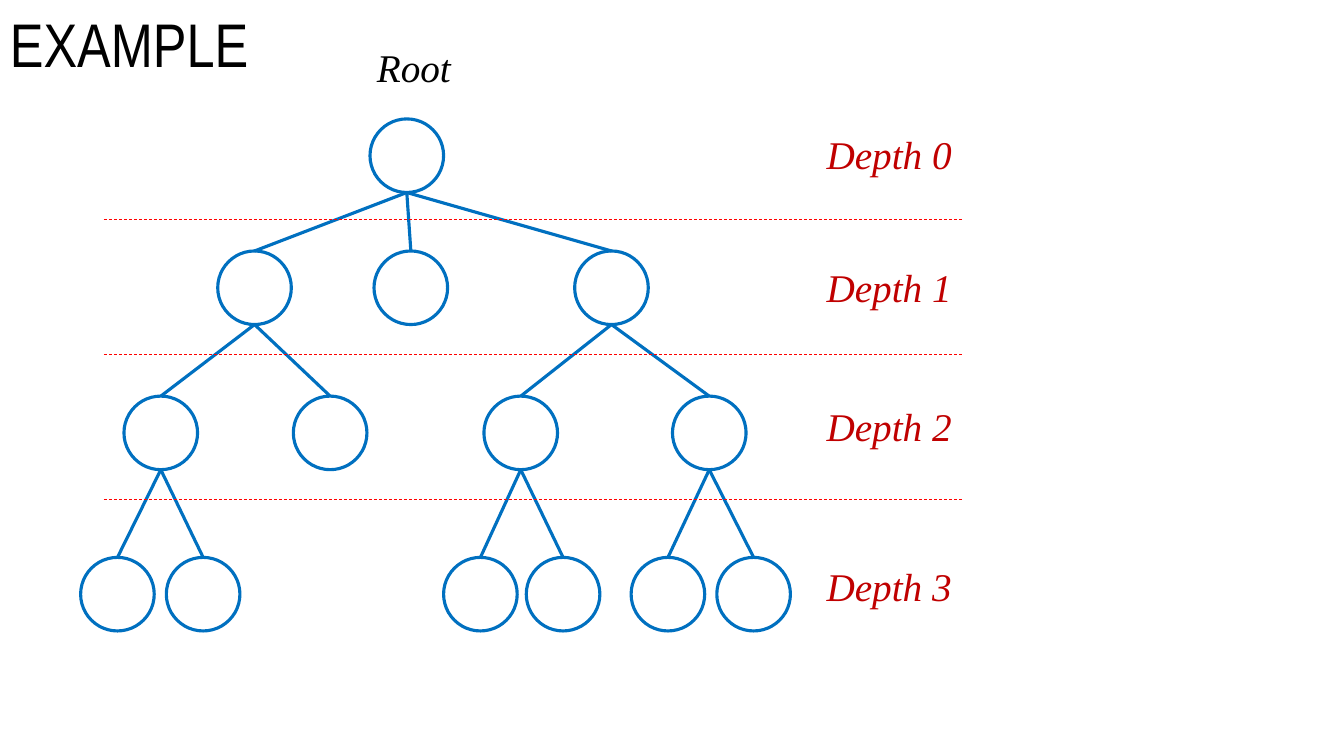
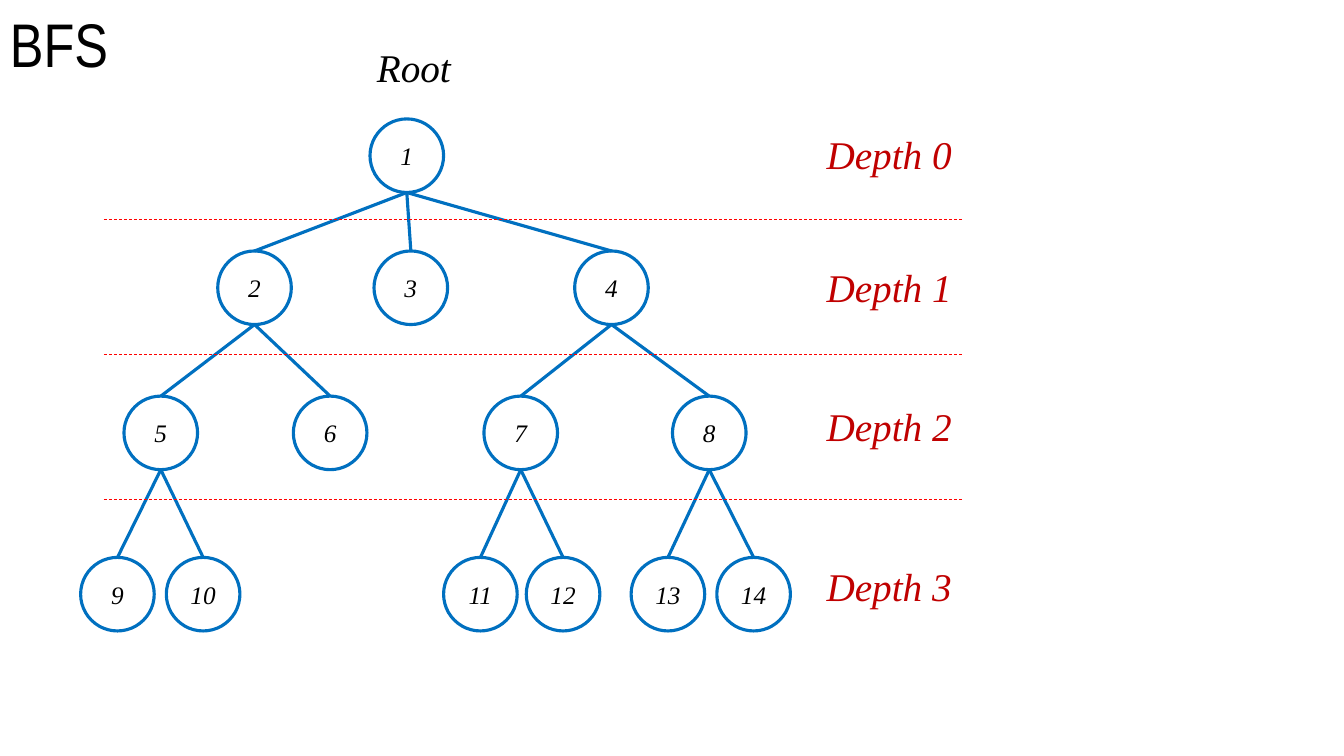
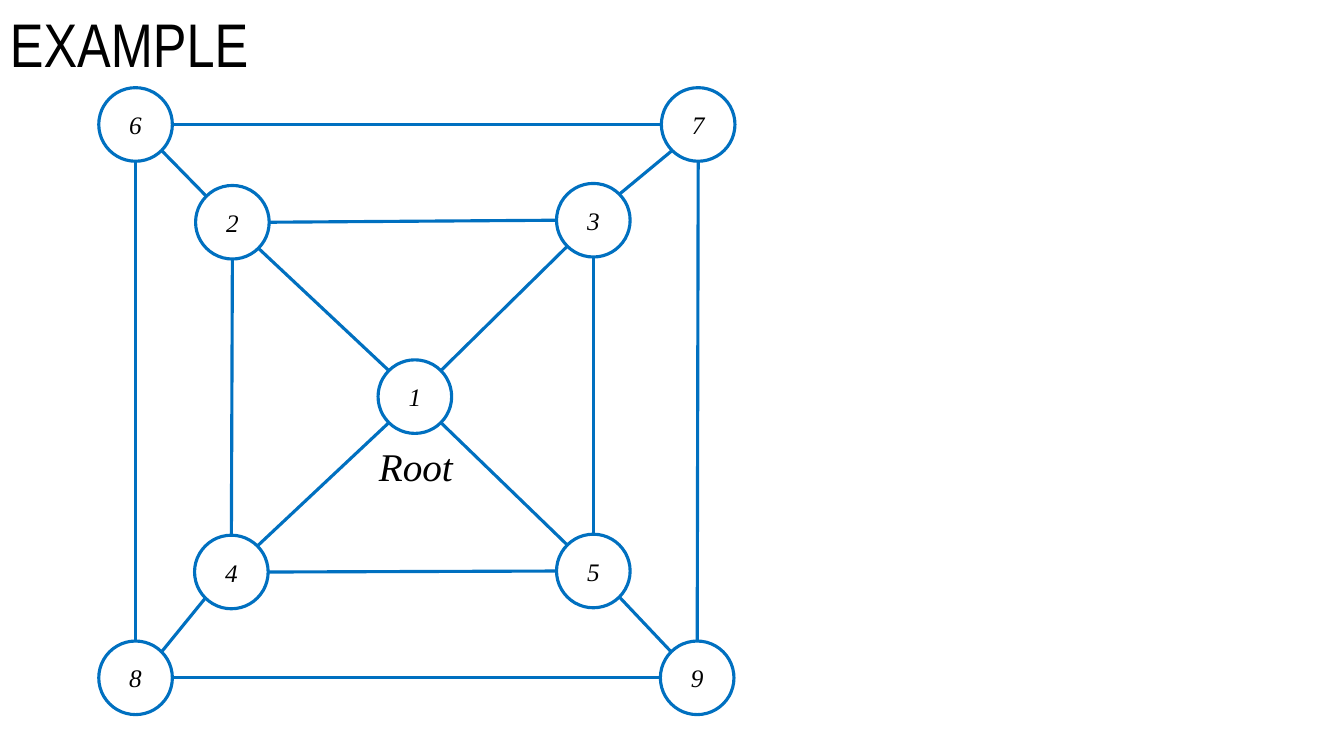
from dataclasses import dataclass
from math import atan2, cos, pi, sin

from pptx import Presentation
from pptx.dml.color import RGBColor
from pptx.enum.dml import MSO_LINE
from pptx.enum.shapes import MSO_CONNECTOR, MSO_SHAPE
from pptx.enum.text import MSO_ANCHOR, MSO_AUTO_SIZE, PP_ALIGN
from pptx.oxml.ns import qn
from pptx.slide import Slide
from pptx.text.text import _Paragraph as Paragraph
from pptx.util import Inches, Pt

# Shared look
BLACK = RGBColor(0x00, 0x00, 0x00)
WHITE = RGBColor(0xFF, 0xFF, 0xFF)
BLUE = RGBColor(0x00, 0x70, 0xC0)
RED = RGBColor(0xFF, 0x00, 0x00)
DARK_RED = RGBColor(0xC0, 0x00, 0x00)

TITLE_FORMAT = {"name": "Arial Narrow", "size": Pt(44)}
LABEL_FORMAT = {"name": "Times New Roman", "size": Pt(28), "italic": True}
NUMBER_FORMAT = {"name": "Times New Roman", "size": Pt(18), "italic": True}

DIAMETER = 0.73
RADIUS = DIAMETER / 2
LABEL_HEIGHT = 0.57
SOUTH, NORTH = 2, 6  # eighths of a turn, clockwise from east


@dataclass(frozen=True)
class Point:
    x: float
    y: float


@dataclass(frozen=True)
class Node:
    left: float
    top: float

    def port(self, eighth: int) -> Point:
        """One of the eight connection points on the circle."""
        angle = eighth * pi / 4
        return Point(self.left + RADIUS + RADIUS * cos(angle),
                     self.top + RADIUS + RADIUS * sin(angle))

    def port_towards(self, other: "Node") -> Point:
        angle = atan2(other.top - self.top, other.left - self.left)
        return self.port(round(angle / (pi / 4)))


@dataclass(frozen=True)
class Level:
    node_top: float
    label_top: float
    lefts: tuple[float, ...]


# Tree: nodes are numbered level by level, from left to right
LEVELS = (
    Level(1.18, 1.24, (3.67,)),
    Level(2.49, 2.56, (2.16, 3.71, 5.70)),
    Level(3.93, 3.94, (1.23, 2.91, 4.80, 6.67)),
    Level(5.53, 5.53, (0.80, 1.65, 4.40, 5.22, 6.26, 7.11)),
)
CHILDREN = {1: (2, 3, 4), 2: (5, 6), 4: (7, 8),
            5: (9, 10), 7: (11, 12), 8: (13, 14)}
SEPARATOR_TOPS = (2.18, 3.52, 4.95)

# Graph: a root inside two nested squares
GRAPH_NODES = {
    1: Node(3.75, 3.57),
    2: Node(1.94, 1.84), 3: Node(5.52, 1.82),
    4: Node(1.93, 5.31), 5: Node(5.52, 5.30),
    6: Node(0.98, 0.87), 7: Node(6.56, 0.87),
    8: Node(0.98, 6.36), 9: Node(6.55, 6.36),
}
GRAPH_EDGES = (
    (1, 2), (1, 3), (1, 4), (1, 5),
    (2, 3), (2, 4), (3, 5), (4, 5),
    (2, 6), (3, 7), (4, 8), (5, 9),
    (6, 7), (6, 8), (7, 9), (8, 9),
)


def write(paragraph: Paragraph, text: str, format_values: dict,
          color: RGBColor = BLACK) -> None:
    paragraph.text = text
    for name, value in format_values.items():
        setattr(paragraph.font, name, value)
    paragraph.font.color.rgb = color


def add_title(slide: Slide, text: str) -> None:
    title = slide.shapes.add_textbox(0, 0, Inches(11.5), Inches(0.94))
    title.text_frame.word_wrap = True
    title.text_frame.vertical_anchor = MSO_ANCHOR.MIDDLE
    paragraph = title.text_frame.paragraphs[0]
    paragraph.line_spacing = 0.9
    write(paragraph, text, TITLE_FORMAT)


def add_label(slide: Slide, text: str, left: float, top: float, width: float,
              color: RGBColor = BLACK) -> None:
    label = slide.shapes.add_textbox(Inches(left), Inches(top),
                                     Inches(width), Inches(LABEL_HEIGHT))
    label.text_frame.word_wrap = False
    label.text_frame.auto_size = MSO_AUTO_SIZE.SHAPE_TO_FIT_TEXT
    write(label.text_frame.paragraphs[0], text, LABEL_FORMAT, color)


def add_root_label(slide: Slide, left: float, top: float) -> None:
    add_label(slide, "Root", left, top, 0.94)


def add_line(slide: Slide, start: Point, end: Point, color: RGBColor = BLUE,
             width: float = 2.25, dash: MSO_LINE | None = None) -> None:
    connector = slide.shapes.add_connector(
        MSO_CONNECTOR.STRAIGHT, Inches(start.x), Inches(start.y),
        Inches(end.x), Inches(end.y))
    connector.line.color.rgb = color
    connector.line.width = Pt(width)
    if dash is not None:
        connector.line.dash_style = dash
    properties = connector._element.spPr
    properties.append(properties.makeelement(qn("a:effectLst"), {}))


def add_node(slide: Slide, node: Node, text: str = "") -> None:
    circle = slide.shapes.add_shape(
        MSO_SHAPE.OVAL, Inches(node.left), Inches(node.top),
        Inches(DIAMETER), Inches(DIAMETER))
    circle.shadow.inherit = False
    circle.fill.solid()
    circle.fill.fore_color.rgb = WHITE
    circle.line.color.rgb = BLUE
    circle.line.width = Pt(2.25)
    if text:
        circle.text_frame.vertical_anchor = MSO_ANCHOR.MIDDLE
        paragraph = circle.text_frame.paragraphs[0]
        paragraph.alignment = PP_ALIGN.CENTER
        write(paragraph, text, NUMBER_FORMAT)


def draw_tree(slide: Slide, numbered: bool) -> None:
    # Nodes and edges
    places = [Node(left, level.node_top)
              for level in LEVELS for left in level.lefts]
    nodes = dict(enumerate(places, start=1))
    for number, node in nodes.items():
        add_node(slide, node, str(number) if numbered else "")
    for parent, children in CHILDREN.items():
        for child in children:
            add_line(slide, nodes[parent].port(SOUTH), nodes[child].port(NORTH))

    # Labels and level separators
    for depth, level in enumerate(LEVELS):
        add_label(slide, f"Depth {depth}", 8.1, level.label_top, 1.46, DARK_RED)
    add_root_label(slide, 3.64, 0.38)
    for top in SEPARATOR_TOPS:
        add_line(slide, Point(1.03, top), Point(9.55, top),
                 RED, 0.5, MSO_LINE.DASH)


def draw_graph(slide: Slide) -> None:
    for number, node in GRAPH_NODES.items():
        add_node(slide, node, str(number))
    for first, second in GRAPH_EDGES:
        start, end = GRAPH_NODES[first], GRAPH_NODES[second]
        add_line(slide, start.port_towards(end), end.port_towards(start))
    add_root_label(slide, 3.66, 4.34)


def main() -> None:
    presentation = Presentation()
    presentation.slide_width = Inches(13.33)
    presentation.slide_height = Inches(7.5)
    blank_layout = presentation.slide_layouts[6]

    def add_slide(title: str) -> Slide:
        slide = presentation.slides.add_slide(blank_layout)
        add_title(slide, title)
        return slide

    draw_tree(add_slide("EXAMPLE"), numbered=False)
    draw_tree(add_slide("BFS"), numbered=True)
    draw_graph(add_slide("EXAMPLE"))
    presentation.save("out.pptx")


if __name__ == "__main__":
    main()
